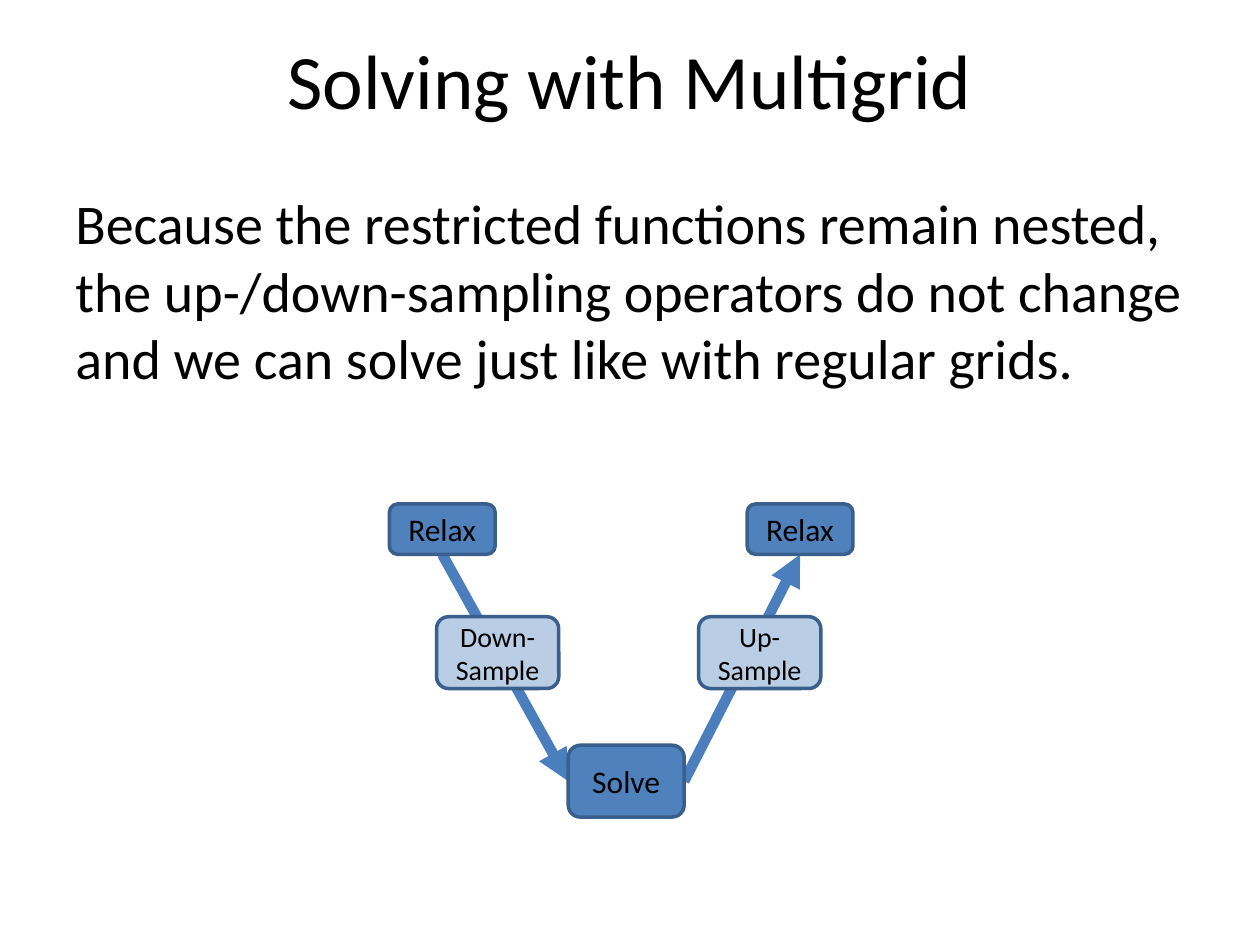
from lxml import etree
from pptx import Presentation
from pptx import util as u
from pptx.dml.color import RGBColor
from pptx.enum import shapes, text
from pptx.oxml.ns import qn

WIDTH, HEIGHT = 10, 7.5
FONT = "Calibri"
BLACK = RGBColor(0x00, 0x00, 0x00)
STEP_FILL = RGBColor(0x4F, 0x81, 0xBD)
SAMPLE_FILL = RGBColor(0xB9, 0xCD, 0xE5)
BORDER = RGBColor(0x3A, 0x5F, 0x8C)
ARROW = RGBColor(0x4B, 0x7E, 0xBC)

TITLE = "Solving with Multigrid"
BODY = ("Because the restricted functions remain nested, the up-/down-sampling "
        "operators do not change and we can solve just like with regular grids.")

# style: width, height, fill, text size
STYLES = {
    "relax": (0.84, 0.4, STEP_FILL, 18),
    "solve": (0.92, 0.57, STEP_FILL, 18),
    "sample": (0.97, 0.57, SAMPLE_FILL, 16),
}
# name: label, style, centre x, centre y
NODES = {
    "relax down": ("Relax", "relax", 3.51, 4.2),
    "solve": ("Solve", "solve", 4.97, 6.2),
    "down-sample": ("Down-\vSample", "sample", 3.95, 5.18),
    "up-sample": ("Up-\vSample", "sample", 6.03, 5.18),
    "relax up": ("Relax", "relax", 6.35, 4.2),
}
BOTTOM, LEFT, RIGHT = 2, 1, 3
# start node, its side, end node, its side
ARROWS = [
    ("relax down", BOTTOM, "solve", LEFT),
    ("solve", RIGHT, "relax up", BOTTOM),
]


def write(box, words, size, align, anchor):
    frame = box.text_frame
    frame.word_wrap = True
    frame.vertical_anchor = anchor
    frame.text = words
    para = frame.paragraphs[0]
    para.alignment = align
    for span in para.runs:
        span.font.name = FONT
        span.font.size = u.Pt(size)
        span.font.color.rgb = BLACK


def add_text(page, words, top, height, size, align, anchor):
    margin = WIDTH * 0.05
    box = page.shapes.add_textbox(u.Inches(margin), u.Inches(top),
                                  u.Inches(WIDTH - 2 * margin), u.Inches(height))
    write(box, words, size, align, anchor)


def add_arrow(page):
    """Add an unattached arrow, to be joined once the nodes above it exist."""
    arrow = page.shapes.add_connector(shapes.MSO_CONNECTOR.STRAIGHT, 0, 0, 0, 0)
    arrow.line.color.rgb = ARROW
    arrow.line.width = u.Pt(6)
    etree.SubElement(arrow.line._get_or_add_ln(), qn("a:tailEnd"), type="triangle")
    etree.SubElement(arrow._element.spPr, qn("a:effectLst"))
    return arrow


def add_node(page, label, style, x, y):
    width, height, fill, size = STYLES[style]
    node = page.shapes.add_shape(
        shapes.MSO_SHAPE.ROUNDED_RECTANGLE,
        u.Inches(x - width / 2), u.Inches(y - height / 2),
        u.Inches(width), u.Inches(height))
    node.shadow.inherit = False
    node.fill.solid()
    node.fill.fore_color.rgb = fill
    node.line.color.rgb = BORDER
    node.line.width = u.Pt(2)
    write(node, label, size, text.PP_ALIGN.CENTER, text.MSO_ANCHOR.MIDDLE)
    return node


def main():
    deck = Presentation()
    deck.slide_width, deck.slide_height = u.Inches(WIDTH), u.Inches(HEIGHT)
    page = deck.slides.add_slide(deck.slide_layouts[6])

    add_text(page, TITLE, 0, 1.25, 44, text.PP_ALIGN.CENTER, text.MSO_ANCHOR.MIDDLE)
    add_text(page, BODY, 1.45, HEIGHT - 1.45, 32, text.PP_ALIGN.LEFT, text.MSO_ANCHOR.TOP)

    arrows = [add_arrow(page) for _ in ARROWS]
    nodes = {name: add_node(page, *node) for name, node in NODES.items()}
    for arrow, (start, start_side, end, end_side) in zip(arrows, ARROWS):
        arrow.begin_connect(nodes[start], start_side)
        arrow.end_connect(nodes[end], end_side)

    deck.save("out.pptx")


if __name__ == "__main__":
    main()
